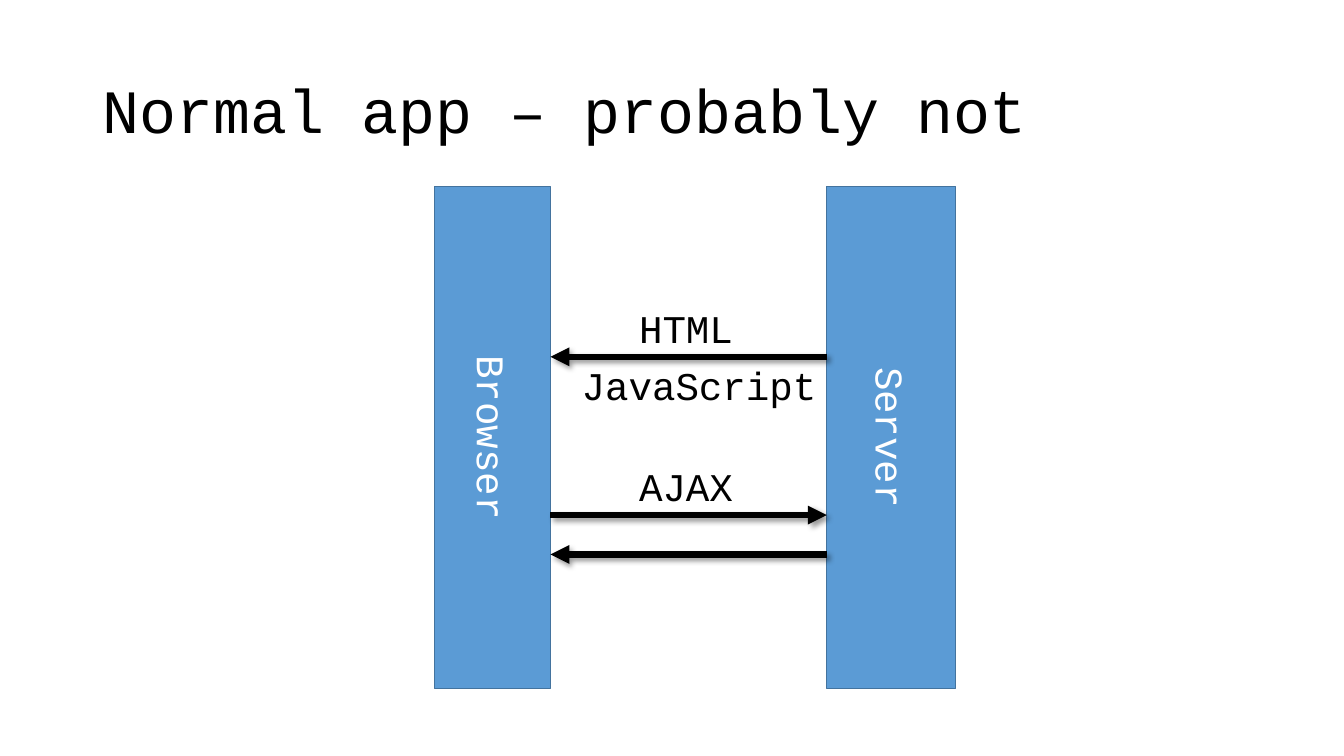
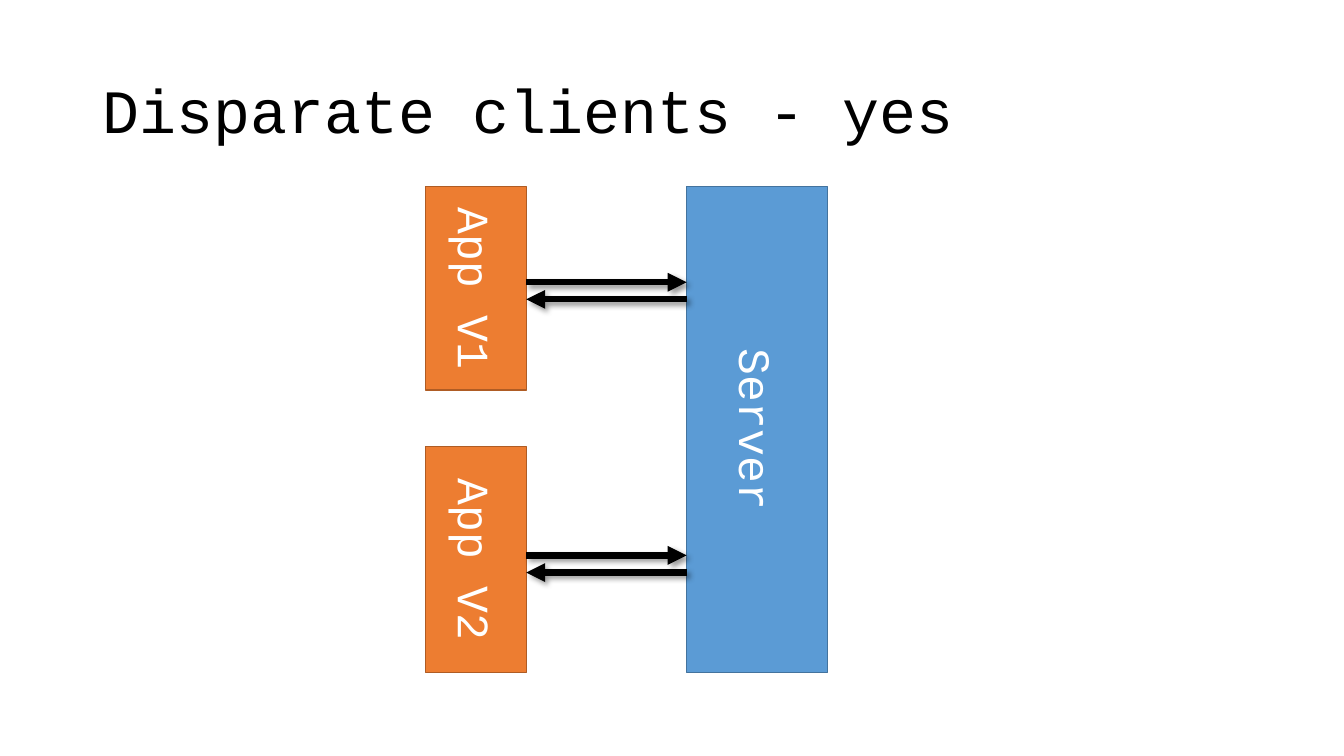
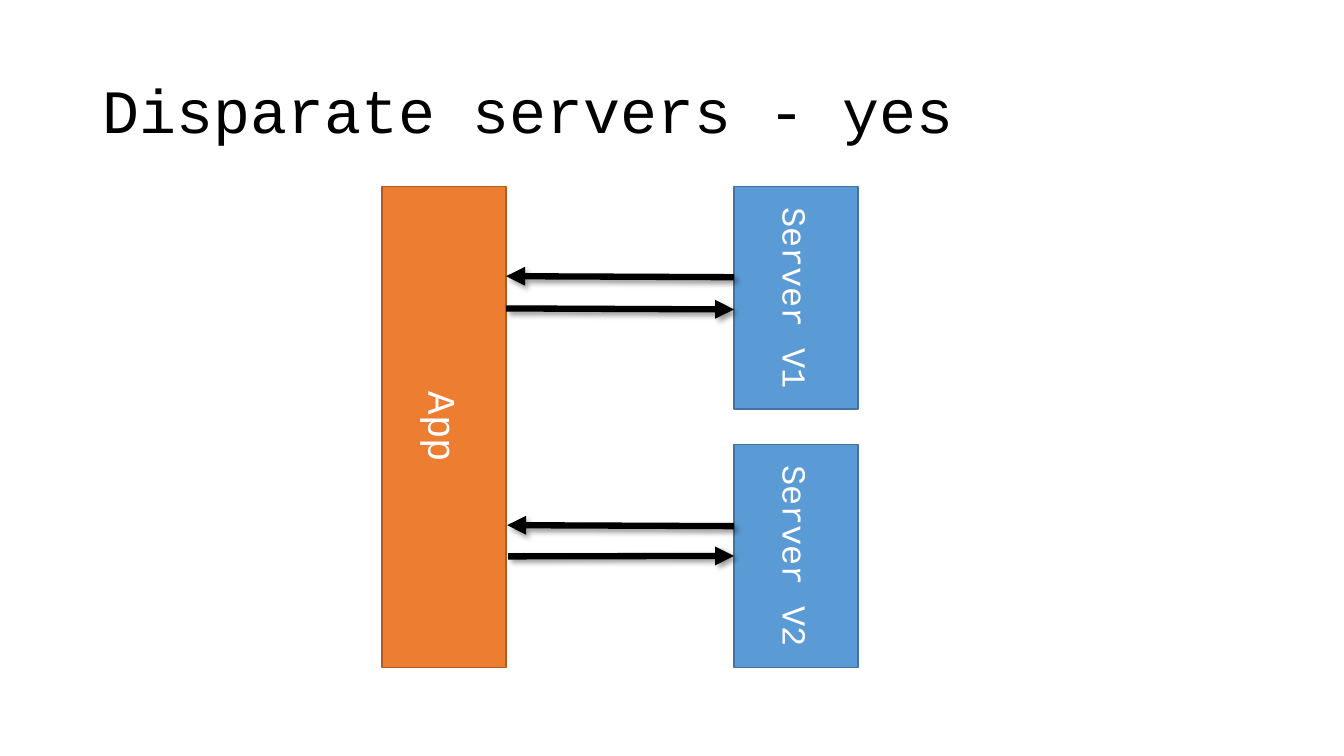
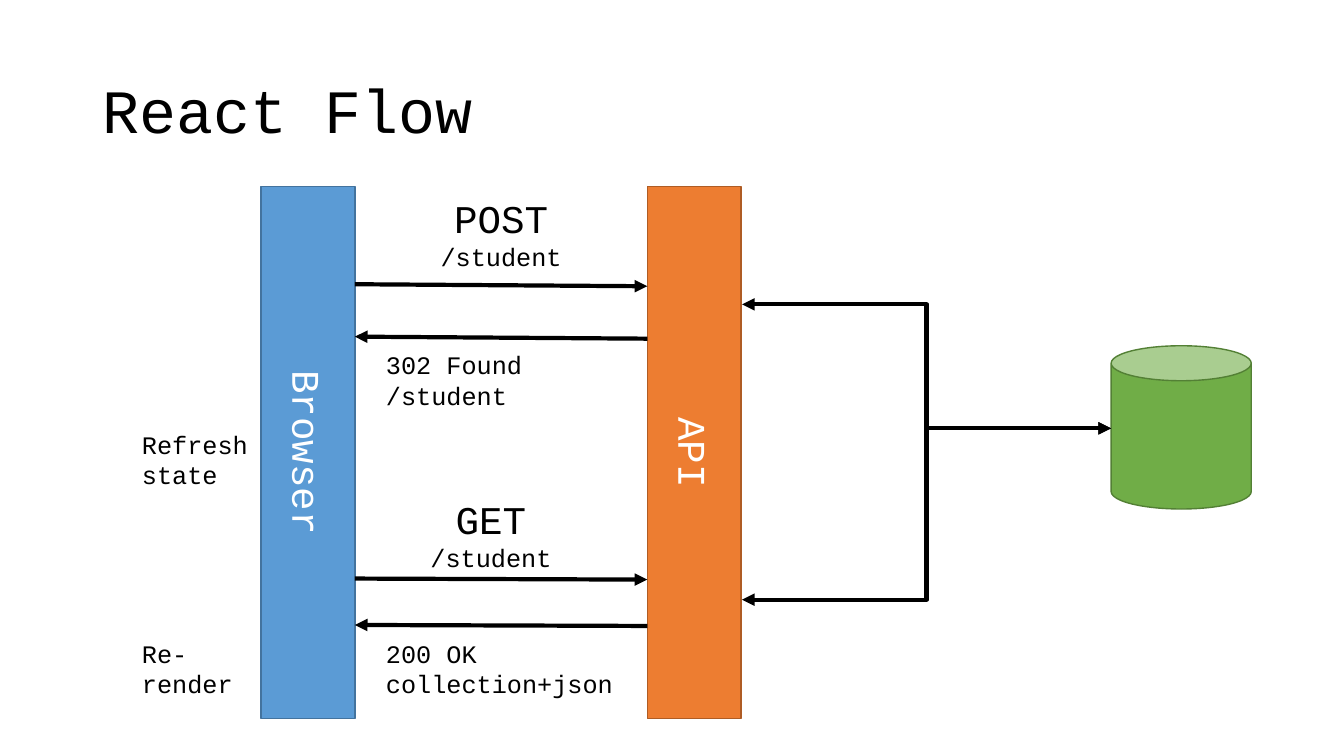
"""Build four slides on when an API is worth having."""
from dataclasses import dataclass

import lxml.etree
import pptx
import pptx.dml.color
import pptx.enum.shapes
import pptx.enum.text
import pptx.oxml.ns
import pptx.util

PX = 9144
TOP = 185

qn = pptx.oxml.ns.qn
RGB = pptx.dml.color.RGBColor.from_string
Align = pptx.enum.text.PP_ALIGN
Anchor = pptx.enum.text.MSO_ANCHOR
AutoSize = pptx.enum.text.MSO_AUTO_SIZE
AutoShape = pptx.enum.shapes.MSO_SHAPE
ConnectorKind = pptx.enum.shapes.MSO_CONNECTOR


@dataclass(frozen=True)
class Skin:
    fill: str
    line: str


@dataclass(frozen=True)
class Stroke:
    width: float
    shadow: bool


@dataclass(frozen=True)
class Theme:
    font: str = "Courier New"
    ink: str = "000000"
    paper: str = "FFFFFF"
    blue: Skin = Skin("5B9BD5", "43739E")
    orange: Skin = Skin("ED7D31", "AF5C24")
    green: Skin = Skin("70AD47", "538035")
    bold: Stroke = Stroke(4.5, True)
    plain: Stroke = Stroke(3, False)
    outline: float = 1
    title: int = 44
    large: int = 32
    medium: int = 28
    small: int = 24
    note: int = 18


THEME = Theme()


@dataclass(frozen=True)
class Box:
    text: str
    x: int
    y: int
    w: int
    h: int
    skin: Skin
    size: int = THEME.medium
    kind: AutoShape = AutoShape.RECTANGLE


@dataclass(frozen=True)
class Arrow:
    x1: int
    y1: int
    x2: int
    y2: int
    elbow: bool = False


@dataclass(frozen=True)
class Line:
    text: str
    size: int = THEME.note


@dataclass(frozen=True)
class Label:
    x: int
    y: int
    w: int
    h: int
    lines: tuple[Line, ...]
    align: Align = Align.LEFT


@dataclass(frozen=True)
class Diagram:
    title: str
    stroke: Stroke
    boxes: tuple[Box, ...]
    arrows: tuple[Arrow, ...]
    labels: tuple[Label, ...] = ()


def px(*values: int) -> tuple[int, ...]:
    """Turn pixel lengths into EMU."""
    return tuple(pptx.util.Emu(v * PX) for v in values)


def style_paragraph(p, text: str, size: int, color: str, align: Align) -> None:
    """Fill a paragraph and set its font."""
    p.text = text
    p.alignment = align
    p.font.name = THEME.font
    p.font.size = pptx.util.Pt(size)
    p.font.color.rgb = RGB(color)


def draw_title(slide, text: str) -> None:
    """Place and format the title placeholder."""
    sp = slide.shapes.title
    sp.left, sp.top, sp.width, sp.height = px(92, 40, 1150, 145)
    tf = sp.text_frame
    tf.auto_size = AutoSize.NONE
    tf.vertical_anchor = Anchor.MIDDLE
    p = tf.paragraphs[0]
    style_paragraph(p, text, THEME.title, THEME.ink, Align.LEFT)
    p.line_spacing = 0.9


def draw_box(slide, box: Box):
    """Draw a filled shape with text running downwards."""
    sp = slide.shapes.add_shape(box.kind, *px(box.x, box.y, box.w, box.h))
    sp.shadow.inherit = False
    sp.fill.solid()
    sp.fill.fore_color.rgb = RGB(box.skin.fill)
    sp.line.color.rgb = RGB(box.skin.line)
    sp.line.width = pptx.util.Pt(THEME.outline)
    if box.text:
        tf = sp.text_frame
        tf.vertical_anchor = Anchor.MIDDLE
        tf._txBody.bodyPr.set("vert", "vert")
        style_paragraph(tf.paragraphs[0], box.text, box.size, THEME.paper, Align.CENTER)
    return sp


def set_effects(c, shadow: bool) -> None:
    """Give a connector a soft shadow or none."""
    effects = lxml.etree.SubElement(c._element.spPr, qn("a:effectLst"))
    if shadow:
        outer = lxml.etree.SubElement(
            effects, qn("a:outerShdw"), blurRad="50800", dist="38100",
            dir="2700000", algn="tl", rotWithShape="0")
        color = lxml.etree.SubElement(outer, qn("a:prstClr"), val="black")
        lxml.etree.SubElement(color, qn("a:alpha"), val="40000")


def join_sides(c, arrow: Arrow, shapes: list) -> None:
    """Join arrow ends that meet the middle of a rectangle's side."""
    ends = ((c.begin_connect, arrow.x1, arrow.y1), (c.end_connect, arrow.x2, arrow.y2))
    for sp in shapes:
        middle = sp.top + sp.height / 2
        for connect, x, y in ends:
            for site, side in ((1, sp.left), (3, sp.left + sp.width)):
                if abs(x * PX - side) < PX and abs(y * PX - middle) < PX:
                    connect(sp, site)


def draw_arrow(slide, arrow: Arrow, stroke: Stroke, shapes: list) -> None:
    """Draw a straight arrow, or a two-headed elbow."""
    kind = ConnectorKind.ELBOW if arrow.elbow else ConnectorKind.STRAIGHT
    c = slide.shapes.add_connector(kind, *px(arrow.x1, arrow.y1, arrow.x2, arrow.y2))
    c.line.color.rgb = RGB(THEME.ink)
    c.line.width = pptx.util.Pt(stroke.width)
    ln = c._element.spPr.find(qn("a:ln"))
    for tag in ("a:headEnd", "a:tailEnd") if arrow.elbow else ("a:tailEnd",):
        lxml.etree.SubElement(ln, qn(tag), type="triangle")
    set_effects(c, stroke.shadow)
    if not arrow.elbow:
        join_sides(c, arrow, shapes)


def draw_label(slide, label: Label) -> None:
    """Draw a text box with one paragraph for each line."""
    sp = slide.shapes.add_textbox(*px(label.x, label.y, label.w, label.h))
    tf = sp.text_frame
    tf.word_wrap = True
    tf.auto_size = AutoSize.SHAPE_TO_FIT_TEXT
    for i, line in enumerate(label.lines):
        p = tf.add_paragraph() if i else tf.paragraphs[0]
        style_paragraph(p, line.text, line.size, THEME.ink, label.align)


def draw_diagram(prs, diagram: Diagram) -> None:
    """Add one slide with its title and diagram."""
    slide = prs.slides.add_slide(prs.slide_layouts.get_by_name("Title Only"))
    draw_title(slide, diagram.title)
    shapes = [draw_box(slide, box) for box in diagram.boxes]
    for arrow in diagram.arrows:
        draw_arrow(slide, arrow, diagram.stroke, shapes)
    for label in diagram.labels:
        draw_label(slide, label)


DIAGRAMS = (
    Diagram(
        "Normal app – probably not",
        THEME.bold,
        (
            Box("Server", 820, TOP, 128, 498, THEME.blue),
            Box("Browser", 431, TOP, 115, 498, THEME.blue),
        ),
        (
            Arrow(820, 354, 546, 354),
            Arrow(546, 511, 820, 511),
            Arrow(820, 550, 546, 550),
        ),
        (
            Label(624, 297, 117, 57, (Line("HTML", THEME.medium),)),
            Label(567, 354, 266, 57, (Line("JavaScript", THEME.medium),)),
            Label(624, 454, 117, 57, (Line("AJAX", THEME.medium),)),
        ),
    ),
    Diagram(
        "Disparate clients - yes",
        THEME.bold,
        (
            Box("Server", 681, TOP, 140, 482, THEME.blue, THEME.large),
            Box("App V1", 422, TOP, 100, 202, THEME.orange, THEME.large),
            Box("App V2", 422, 443, 100, 224, THEME.orange, THEME.large),
        ),
        (
            Arrow(522, 280, 681, 280),
            Arrow(681, 297, 522, 297),
            Arrow(522, 551, 681, 551),
            Arrow(681, 568, 522, 568),
        ),
    ),
    Diagram(
        "Disparate servers - yes",
        THEME.bold,
        (
            Box("Server V1", 728, TOP, 123, 221, THEME.blue, THEME.small),
            Box("App", 379, TOP, 123, 477, THEME.orange),
            Box("Server V2", 728, 441, 123, 221, THEME.blue, THEME.small),
        ),
        (
            Arrow(728, 275, 502, 274),
            Arrow(502, 306, 728, 307),
            Arrow(728, 522, 503, 521),
            Arrow(504, 552, 728, 552),
        ),
    ),
    Diagram(
        "React Flow",
        THEME.plain,
        (
            Box("API", 642, TOP, 93, 528, THEME.orange),
            Box("Browser", 259, TOP, 93, 528, THEME.blue),
            Box("", 1102, 343, 139, 162, THEME.green, kind=AutoShape.CAN),
        ),
        (
            Arrow(352, 282, 642, 284),
            Arrow(642, 336, 352, 334),
            Arrow(352, 574, 642, 575),
            Arrow(642, 621, 352, 620),
            Arrow(736, 302, 1102, 425, elbow=True),
            Arrow(736, 595, 1102, 425, elbow=True),
        ),
        (
            Label(411, 188, 172, 91, (Line("POST", THEME.medium), Line("/student")), Align.CENTER),
            Label(373, 342, 250, 71, (Line("302 Found"), Line("/student"))),
            Label(362, 486, 250, 88, (Line("GET", THEME.medium), Line("/student")), Align.CENTER),
            Label(373, 628, 250, 71, (Line("200 OK"), Line("collection+json"))),
            Label(131, 421, 146, 71, (Line("Refresh state"),)),
            Label(131, 628, 146, 71, (Line("Re-render"),)),
        ),
    ),
)


def main() -> None:
    """Build and save the presentation."""
    prs = pptx.Presentation()
    prs.slide_width, prs.slide_height = px(1333, 750)
    for diagram in DIAGRAMS:
        draw_diagram(prs, diagram)
    prs.save("out.pptx")


if __name__ == "__main__":
    main()
